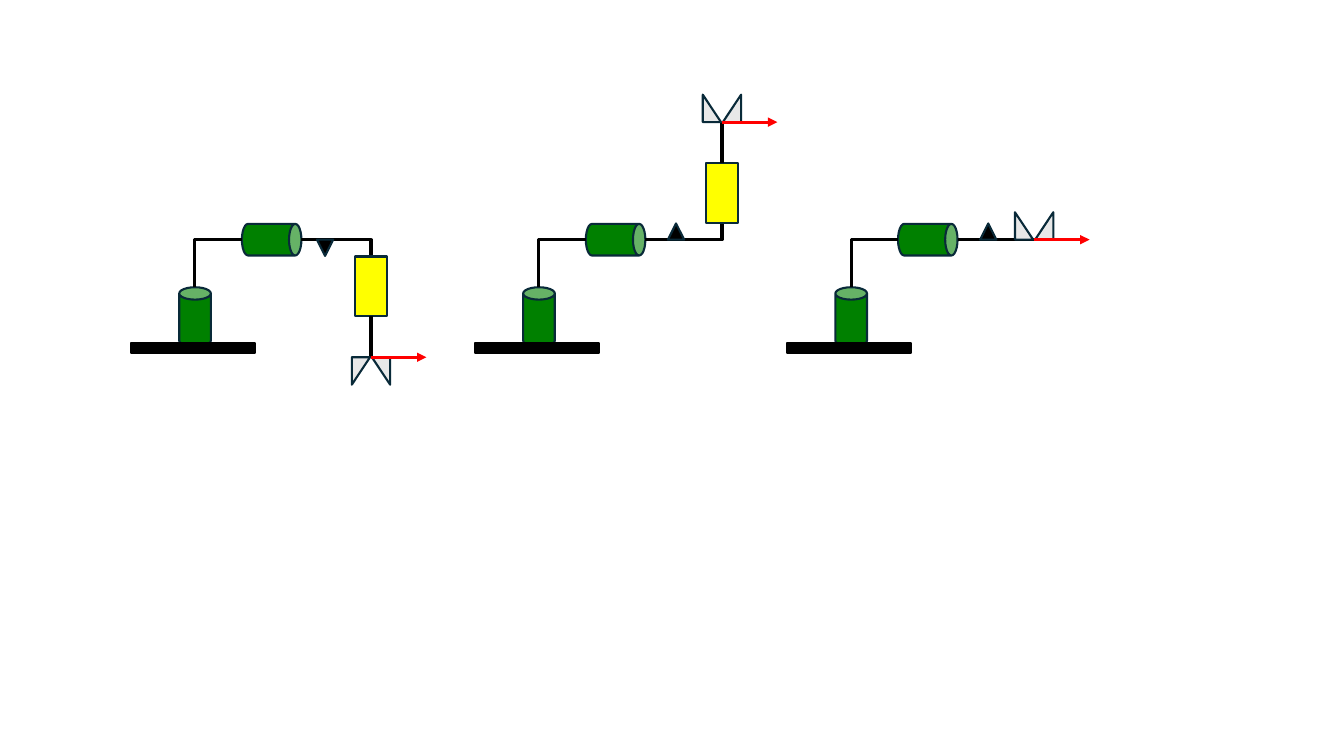
"""Draw three poses of a robot arm as a kinematic diagram."""
from pptx import Presentation
from pptx.dml.color import RGBColor
from pptx.enum.shapes import MSO_CONNECTOR, MSO_SHAPE
from pptx.oxml.ns import qn
from pptx.oxml.xmlchemy import OxmlElement
from pptx.util import Pt

CAN, CUBE, RECTANGLE = MSO_SHAPE.CAN, MSO_SHAPE.CUBE, MSO_SHAPE.RECTANGLE
TRIANGLE, RIGHT_TRIANGLE = MSO_SHAPE.ISOSCELES_TRIANGLE, MSO_SHAPE.RIGHT_TRIANGLE
STRAIGHT, ELBOW = MSO_CONNECTOR.STRAIGHT, MSO_CONNECTOR.ELBOW

BLACK = RGBColor(0x00, 0x00, 0x00)
NAVY = RGBColor(0x09, 0x2A, 0x39)
GREEN = RGBColor(0x00, 0x80, 0x00)
YELLOW = RGBColor(0xFF, 0xFF, 0x00)
GRAY = RGBColor(0xE8, 0xE8, 0xE8)
RED = RGBColor(0xFF, 0x00, 0x00)

AXIS = 171.2
DOWN, UP = 1, -1
JOINT_WIDTH, JOINT_LENGTH = 22.6, 42.5
SLIDER_GAP, TIP_GAP = 12, 29.5
ARMS = [(93.6, 171.4, DOWN, True), (339.3, 176.4, UP, True), (562.3, 176.4, UP, False)]


def add_part(page, kind, left, top, width, height, fill, line=NAVY,
             rotation=0, flip_h=False, flip_v=False, adjustment=None):
    """Add one outlined solid shape."""
    part = page.shapes.add_shape(kind, Pt(left), Pt(top), Pt(width), Pt(height))
    part.shadow.inherit = False
    part.fill.solid()
    part.fill.fore_color.rgb = fill
    part.line.color.rgb = line
    part.line.width = Pt(1.5)
    part.rotation = rotation
    if adjustment is not None:
        part.adjustments[0] = adjustment
    frame = part._element.spPr.find(qn("a:xfrm"))
    if flip_h:
        frame.set("flipH", "1")
    if flip_v:
        frame.set("flipV", "1")


def add_link(page, start, end, color=BLACK, bent=False, arrow=False):
    """Join two points, with a bend after the horizontal leg or an arrowhead if asked."""
    link = page.shapes.add_connector(ELBOW if bent else STRAIGHT, *map(Pt, start + end))
    link.line.color.rgb = color
    link.line.width = Pt(2.25)
    properties = link._element.spPr
    if bent:
        properties.find(qn("a:prstGeom")).set("prst", "bentConnector2")
    if arrow:
        head = OxmlElement("a:tailEnd")
        head.set("type", "triangle")
        properties.find(qn("a:ln")).append(head)
    properties.append(OxmlElement("a:effectLst"))


def draw_base(page, left, axis):
    """Draw the ground plate, both rotary joints and the link between them."""
    column = left + 45.7
    add_part(page, CAN, column - JOINT_WIDTH / 2, axis + 34, JOINT_WIDTH, JOINT_LENGTH,
             GREEN, adjustment=0.391)
    add_part(page, CAN, left + 100.4 - JOINT_WIDTH / 2, axis - JOINT_LENGTH / 2,
             JOINT_WIDTH, JOINT_LENGTH, GREEN, rotation=90, adjustment=0.391)
    add_link(page, (left + 79.2, axis), (column, axis + 34), bent=True)
    add_part(page, RECTANGLE, left, axis + 73.6, 88.6, 7.2, BLACK, line=BLACK)


def draw_slider(page, start, wrist, axis, direction):
    """Draw the sliding joint with its links and return the height of its tip."""
    near = axis + direction * SLIDER_GAP
    far = near + direction * JOINT_LENGTH
    tip = far + direction * TIP_GAP
    add_link(page, (start, axis), (wrist, near), bent=True)
    add_part(page, CUBE, wrist - JOINT_WIDTH / 2, min(near, far),
             JOINT_WIDTH, JOINT_LENGTH, YELLOW, adjustment=0)
    add_link(page, (wrist, far), (wrist, tip))
    return tip


def draw_gripper(page, wrist, tip, direction):
    """Draw the two jaws and the red tool direction arrow."""
    width, height = 13, 19.6
    top = tip if direction == DOWN else tip - height
    for left, mirrored in ((wrist - 0.7 - width, False), (wrist + 0.7, True)):
        add_part(page, RIGHT_TRIANGLE, left, top, width, height, GRAY,
                 flip_h=mirrored, flip_v=direction == DOWN)
    add_link(page, (wrist, tip), (wrist + 39.6, tip), RED, arrow=True)


def draw_arm(page, left, axis, reach, direction, has_slider):
    """Draw one whole arm from its left edge and the height of its horizontal axis."""
    start, wrist, tip = left + 121.7, left + reach, axis
    draw_base(page, left, axis)
    if has_slider:
        tip = draw_slider(page, start, wrist, axis, direction)
    else:
        add_link(page, (start, axis), (wrist, axis))
    size = 11.6
    add_part(page, TRIANGLE, wrist - 32.8 - size / 2,
             axis if direction == DOWN else axis - size, size, size, BLACK,
             flip_v=direction == DOWN)
    draw_gripper(page, wrist, tip, direction)


def main():
    """Build the slide and save it."""
    deck = Presentation()
    deck.slide_width, deck.slide_height = Pt(960), Pt(540)
    page = deck.slides.add_slide(deck.slide_layouts[6])
    for left, reach, direction, has_slider in ARMS:
        draw_arm(page, left, AXIS, reach, direction, has_slider)
    deck.save("out.pptx")


if __name__ == "__main__":
    main()
